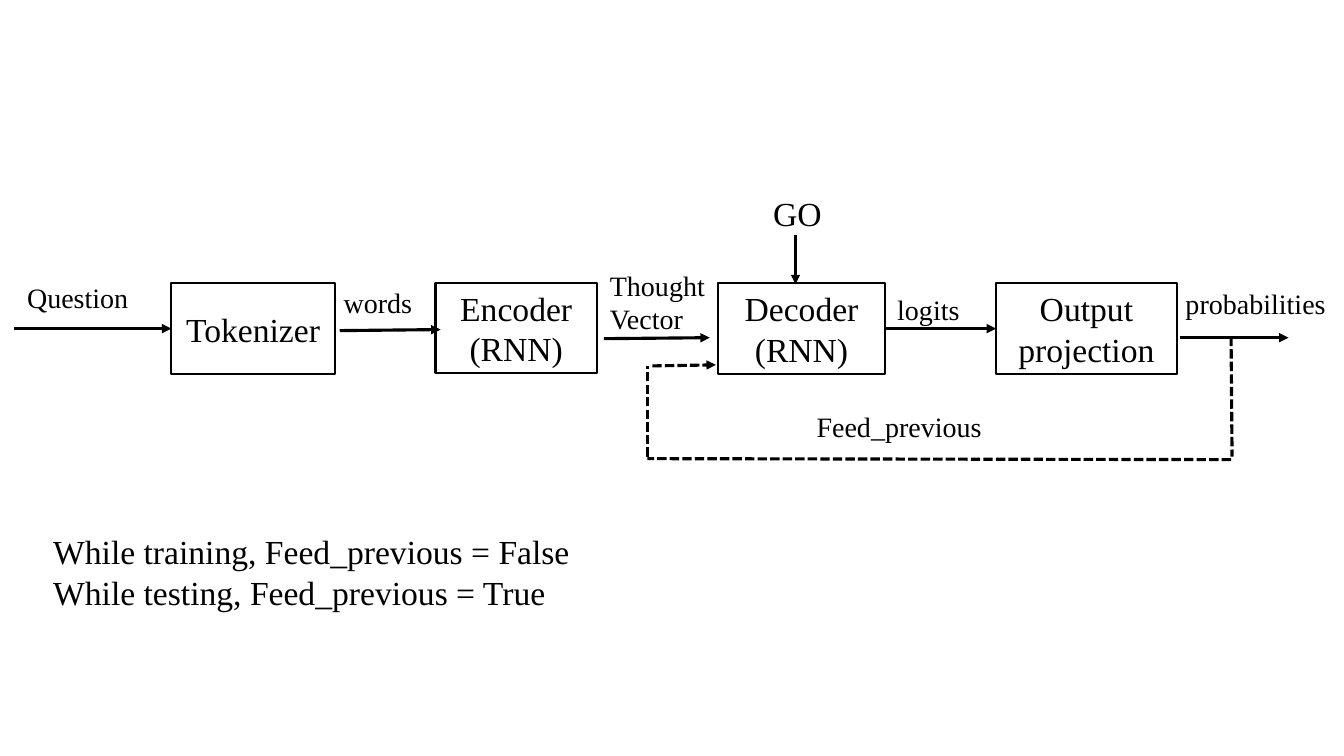
from dataclasses import dataclass

from pptx import Presentation
from pptx.dml.color import RGBColor
from pptx.enum.dml import MSO_LINE
from pptx.enum.shapes import MSO_CONNECTOR, MSO_SHAPE
from pptx.enum.text import MSO_ANCHOR, MSO_AUTO_SIZE, PP_ALIGN
from pptx.oxml.ns import qn
from pptx.util import Inches, Pt
from lxml.etree import SubElement


@dataclass(frozen=True)
class Theme:
    font: str = "Times New Roman"
    ink: RGBColor = RGBColor(0, 0, 0)
    large: int = 24
    small: int = 20
    box_line: float = 1.5
    arrow_line: float = 2.25


THEME = Theme()
LEFT_SIDE, RIGHT_SIDE = 1, 3
BOX_TOP = 2.81
FLOW_Y = 3.26


def format_text(text_frame, size, alignment):
    for paragraph in text_frame.paragraphs:
        paragraph.alignment = alignment
        for run in paragraph.runs:
            run.font.name = THEME.font
            run.font.size = Pt(size)
            run.font.color.rgb = THEME.ink


def add_box(slide, text, left, width, height=0.9):
    shape = slide.shapes.add_shape(
        MSO_SHAPE.RECTANGLE, Inches(left), Inches(BOX_TOP), Inches(width), Inches(height))
    shape.shadow.inherit = False
    shape.fill.background()
    shape.line.color.rgb = THEME.ink
    shape.line.width = Pt(THEME.box_line)
    text_frame = shape.text_frame
    text_frame.text = text
    text_frame.word_wrap = True
    text_frame.vertical_anchor = MSO_ANCHOR.MIDDLE
    format_text(text_frame, THEME.large, PP_ALIGN.CENTER)
    return shape


def add_label(slide, text, left, top, width, height=0.44, size=THEME.small, wrap=True):
    shape = slide.shapes.add_textbox(
        Inches(left), Inches(top), Inches(width), Inches(height))
    text_frame = shape.text_frame
    text_frame.text = text
    text_frame.word_wrap = wrap
    text_frame.auto_size = MSO_AUTO_SIZE.SHAPE_TO_FIT_TEXT
    format_text(text_frame, size, PP_ALIGN.LEFT)


def add_line(slide, start, end, arrow=True, dashed=False):
    connector = slide.shapes.add_connector(
        MSO_CONNECTOR.STRAIGHT, *(Inches(value) for value in (*start, *end)))
    connector.line.color.rgb = THEME.ink
    connector.line.width = Pt(THEME.arrow_line)
    if dashed:
        connector.line.dash_style = MSO_LINE.SQUARE_DOT
    properties = connector._element.spPr
    if arrow:
        SubElement(properties.find(qn("a:ln")), qn("a:tailEnd"), type="triangle")
    SubElement(properties, qn("a:effectLst"))
    return connector


def main():
    presentation = Presentation()
    presentation.slide_width = Inches(13.33)
    presentation.slide_height = Inches(7.5)
    slide = presentation.slides.add_slide(presentation.slide_layouts[6])

    # Processing stages
    tokenizer = add_box(slide, "Tokenizer", 1.7, 1.62)
    add_box(slide, "Encoder\n(RNN)", 4.32, 1.6, 0.89)
    decoder = add_box(slide, "Decoder\n(RNN)", 7.12, 1.66)
    projection = add_box(slide, "Output projection", 9.88, 1.79)

    # Forward flow
    question_arrow = add_line(slide, (0.14, FLOW_Y), (1.7, FLOW_Y))
    question_arrow.end_connect(tokenizer, LEFT_SIDE)
    add_line(slide, (3.37, 3.28), (4.37, 3.27))
    add_line(slide, (5.99, 3.36), (7.04, 3.35))
    logits_arrow = add_line(slide, (8.78, FLOW_Y), (9.88, FLOW_Y))
    logits_arrow.begin_connect(decoder, RIGHT_SIDE)
    logits_arrow.end_connect(projection, LEFT_SIDE)
    add_line(slide, (11.7, 3.35), (12.78, 3.35))
    add_line(slide, (7.89, 2.33), (7.89, 2.82))

    # Feedback loop from the probabilities to the decoder
    add_line(slide, (12.21, 3.34), (12.22, 4.53), arrow=False, dashed=True)
    add_line(slide, (12.21, 4.56), (6.42, 4.55), arrow=False, dashed=True)
    add_line(slide, (6.42, 4.53), (6.42, 3.63), arrow=False, dashed=True)
    add_line(slide, (6.47, 3.63), (7.1, 3.62), dashed=True)

    # Flow labels
    add_label(slide, "Question", 0.17, 2.73, 1.5)
    add_label(slide, "words", 3.31, 2.78, 1.5)
    add_label(slide, "Thought\nVector", 5.95, 2.61, 1.22, 0.77, wrap=False)
    add_label(slide, "GO", 7.57, 1.86, 1.5, 0.5, THEME.large)
    add_label(slide, "logits", 8.8, 2.85, 1.55)
    add_label(slide, "probabilities", 11.66, 2.79, 1.67)
    add_label(slide, "Feed_previous", 8, 4.01, 1.92, wrap=False)

    # Training and testing modes
    add_label(
        slide,
        "While training, Feed_previous = False\nWhile testing, Feed_previous = True",
        0.43, 5.22, 5.76, 0.91, THEME.large)

    presentation.save("out.pptx")


if __name__ == "__main__":
    main()
